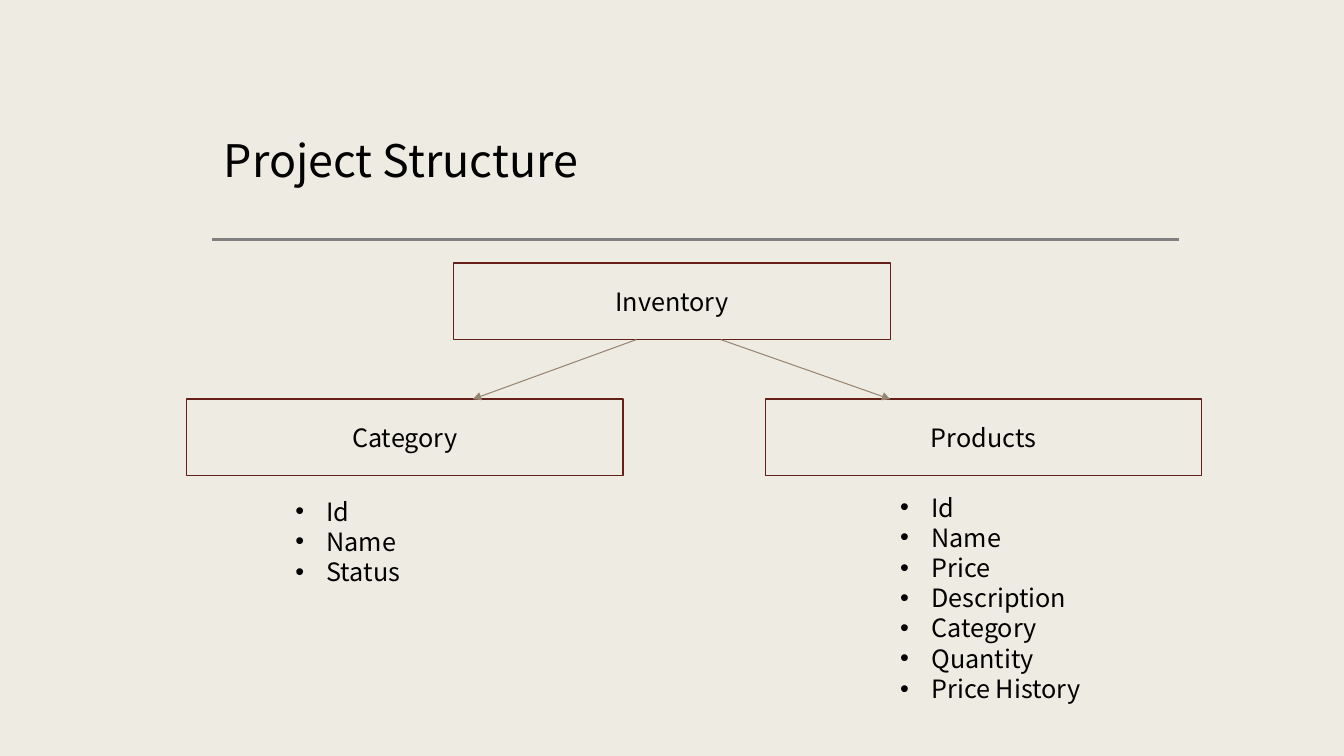
from dataclasses import dataclass

import pptx
import pptx.dml.color
import pptx.enum.shapes
import pptx.enum.text
import pptx.oxml.ns
import pptx.slide
import pptx.text.text
import pptx.util
from lxml import etree

Inches = pptx.util.Inches
Pt = pptx.util.Pt
RGBColor = pptx.dml.color.RGBColor
Anchor = pptx.enum.text.MSO_ANCHOR
qn = pptx.oxml.ns.qn

CREAM = RGBColor(0xEE, 0xEB, 0xE2)
MAROON = RGBColor(0x64, 0x20, 0x18)
TAUPE = RGBColor(0x96, 0x85, 0x72)
GRAY = RGBColor(0x80, 0x80, 0x80)
BLACK = RGBColor(0, 0, 0)
FONT = "Noto Sans CJK JP"
BOX_WIDTH, BOX_HEIGHT = 4.33, 0.76
FIELDS_WIDTH = 3.72
FIELD_INDENT = 0.31


@dataclass(frozen=True)
class Entity:
    name: str
    left: float
    top: float


@dataclass(frozen=True)
class Line:
    start: tuple[float, float]
    end: tuple[float, float]
    color: RGBColor
    width: float
    arrow: bool = False


@dataclass(frozen=True)
class FieldList:
    left: float
    top: float
    height: float
    fields: tuple[str, ...]


ENTITIES = (
    Entity("Inventory", 4.5, 2.61),
    Entity("Products", 7.59, 3.96),
    Entity("Category", 1.85, 3.96),
)
TITLE_RULE = Line((2.1, 2.38), (11.69, 2.38), GRAY, 2)
ARROWS = (
    Line((6.31, 3.37), (4.69, 3.96), TAUPE, 0.75, arrow=True),
    Line((7.15, 3.37), (8.83, 3.96), TAUPE, 0.75, arrow=True),
)
FIELD_LISTS = (
    FieldList(2.83, 4.87, 1.01, ("Id", "Name", "Status")),
    FieldList(8.83, 4.83, 2.22, ("Id", "Name", "Price", "Description",
                                 "Category", "Quantity", "Price History")),
)


def add_run(paragraph: pptx.text.text._Paragraph, text: str, size: float = 18) -> None:
    run = paragraph.add_run()
    run.text = text
    run.font.name = FONT
    run.font.size = Pt(size)
    run.font.color.rgb = BLACK


def add_title(slide: pptx.slide.Slide, text: str) -> None:
    title = slide.shapes.add_textbox(Inches(2.1), Inches(0.48), Inches(9.59), Inches(1.47))
    frame = title.text_frame
    frame.word_wrap = True
    frame.vertical_anchor = Anchor.BOTTOM
    frame.margin_left = frame.margin_top = frame.margin_right = Inches(0.12)
    frame.margin_bottom = Inches(0.1)
    frame.paragraphs[0].line_spacing = 1.3
    add_run(frame.paragraphs[0], text, 32)


def add_line(slide: pptx.slide.Slide, line: Line) -> None:
    connector = slide.shapes.add_connector(
        pptx.enum.shapes.MSO_CONNECTOR.STRAIGHT,
        *(Inches(value) for value in line.start + line.end))
    connector.line.color.rgb = line.color
    connector.line.width = Pt(line.width)
    if line.arrow:
        outline = connector.line._get_or_add_ln()
        etree.SubElement(outline, qn("a:tailEnd"), type="triangle")
    etree.SubElement(connector._element.spPr, qn("a:effectLst"))


def add_entity(slide: pptx.slide.Slide, entity: Entity) -> None:
    box = slide.shapes.add_shape(
        pptx.enum.shapes.MSO_SHAPE.RECTANGLE, Inches(entity.left), Inches(entity.top),
        Inches(BOX_WIDTH), Inches(BOX_HEIGHT))
    box.shadow.inherit = False
    box.fill.solid()
    box.fill.fore_color.rgb = CREAM
    box.line.color.rgb = MAROON
    box.line.width = Pt(1)
    box.text_frame.vertical_anchor = Anchor.MIDDLE
    label = box.text_frame.paragraphs[0]
    label.alignment = pptx.enum.text.PP_ALIGN.CENTER
    add_run(label, entity.name)


def add_fields(slide: pptx.slide.Slide, listing: FieldList) -> None:
    box = slide.shapes.add_textbox(Inches(listing.left), Inches(listing.top),
                                   Inches(FIELDS_WIDTH), Inches(listing.height))
    frame = box.text_frame
    frame.word_wrap = True
    frame.auto_size = pptx.enum.text.MSO_AUTO_SIZE.SHAPE_TO_FIT_TEXT
    for index, field in enumerate(listing.fields):
        item = frame.add_paragraph() if index else frame.paragraphs[0]
        properties = item._p.get_or_add_pPr()
        properties.set("marL", str(Inches(FIELD_INDENT)))
        properties.set("indent", str(-Inches(FIELD_INDENT)))
        etree.SubElement(properties, qn("a:buFont"), typeface="Arial")
        etree.SubElement(properties, qn("a:buChar"), char="•")
        add_run(item, field)


def main() -> None:
    presentation = pptx.Presentation()
    presentation.slide_width = Inches(13.33)
    presentation.slide_height = Inches(7.5)
    slide = presentation.slides.add_slide(presentation.slide_layouts[6])
    slide.background.fill.solid()
    slide.background.fill.fore_color.rgb = CREAM

    # Heading
    add_line(slide, TITLE_RULE)
    add_title(slide, "Project Structure")

    # Entity tree
    for entity in ENTITIES:
        add_entity(slide, entity)
    for arrow in ARROWS:
        add_line(slide, arrow)

    # Fields of each entity
    for listing in FIELD_LISTS:
        add_fields(slide, listing)

    presentation.save("out.pptx")


if __name__ == "__main__":
    main()
